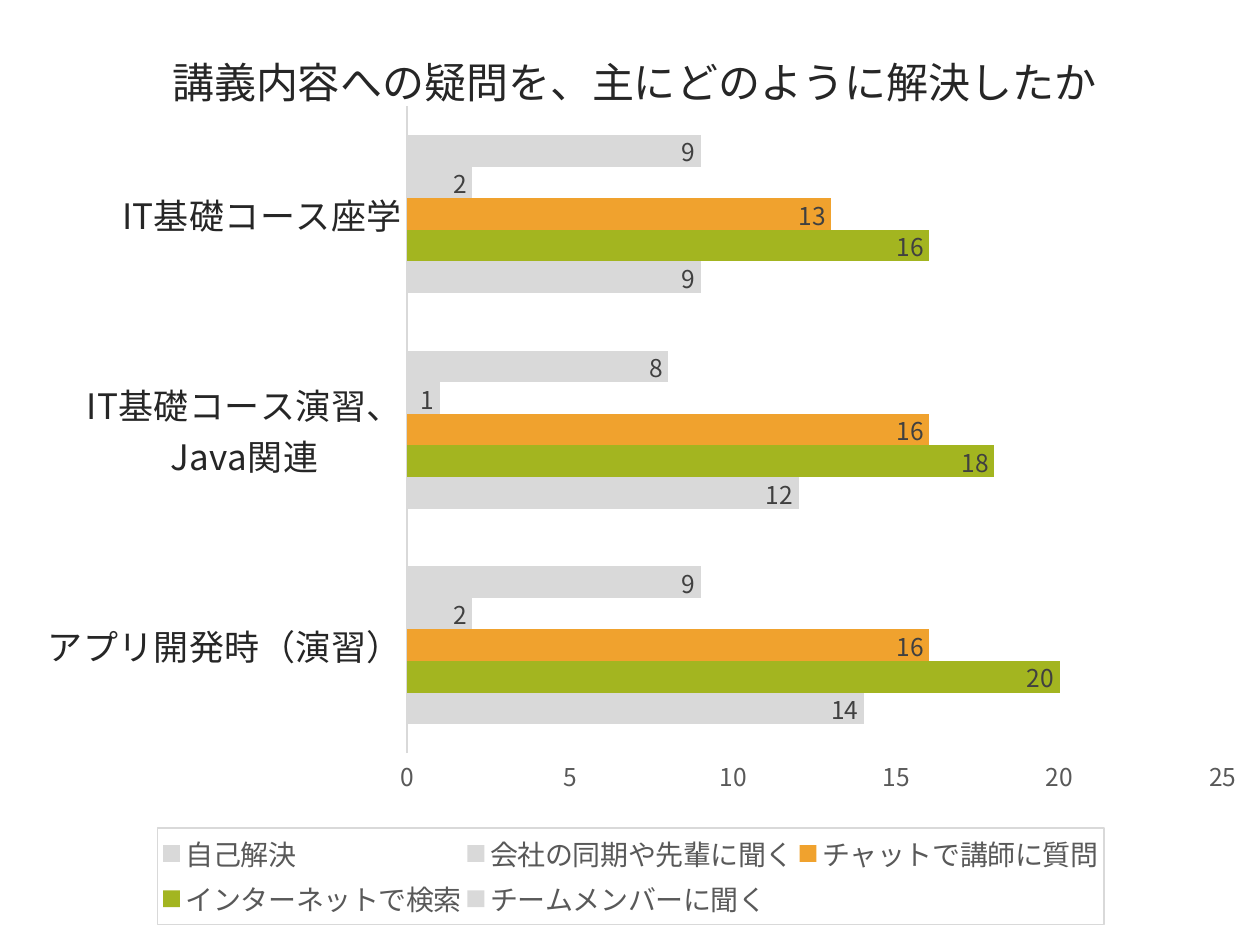
from dataclasses import dataclass

from lxml import etree
from pptx import Presentation
from pptx.chart.data import CategoryChartData
from pptx.dml.color import RGBColor
from pptx.enum.chart import XL_CHART_TYPE, XL_LABEL_POSITION, XL_LEGEND_POSITION, XL_TICK_MARK
from pptx.oxml import parse_xml
from pptx.oxml.ns import nsdecls, qn
from pptx.util import Pt

BAR = XL_CHART_TYPE.BAR_CLUSTERED
INSIDE_END = XL_LABEL_POSITION.INSIDE_END
BOTTOM = XL_LEGEND_POSITION.BOTTOM
NO_TICK = XL_TICK_MARK.NONE


@dataclass(frozen=True)
class Theme:
    font: str = "Noto Sans CJK JP"
    dark: str = "262626"
    label: str = "404040"
    text: str = "595959"
    grey: str = "D9D9D9"
    green: str = "A3B520"
    orange: str = "F0A22E"
    title_size: int = 24
    category_size: int = 20
    legend_size: int = 16
    value_size: int = 14


theme = Theme()


def style_font(font, size, color):
    font.name = theme.font
    font.size = Pt(size)
    font.bold = False
    font.color.rgb = RGBColor.from_string(color)


def place(element, index, **layout):
    for old in element.findall(qn("c:layout")):
        element.remove(old)
    items = "".join(f'<c:{tag} val="{val}"/>' for tag, val in layout.items())
    element.insert(index, parse_xml(
        f'<c:layout {nsdecls("c")}><c:manualLayout>{items}</c:manualLayout></c:layout>'))


prs = Presentation()
prs.slide_width, prs.slide_height = Pt(720), Pt(540)
slide = prs.slides.add_slide(prs.slide_layouts[6])

series = [
    ("チームメンバーに聞く", (14, 12, 9), theme.grey),
    ("インターネットで検索", (20, 18, 16), theme.green),
    ("チャットで講師に質問", (16, 16, 13), theme.orange),
    ("会社の同期や先輩に聞く", (2, 1, 2), theme.grey),
    ("自己解決", (9, 8, 9), theme.grey),
]
data = CategoryChartData()
data.categories = ["アプリ開発時（演習）", "IT基礎コース演習、Java関連", "IT基礎コース座学"]
for name, values, color in series:
    data.add_series(name, values)

chart = slide.shapes.add_chart(BAR, Pt(10), Pt(0), Pt(700), Pt(528.5), data).chart
style_font(chart.font, theme.value_size, theme.text)

p = chart.chart_title.text_frame.paragraphs[0]
r = p.add_run()
r.text = "講義内容への疑問を、主にどのように解決したか"
style_font(r.font, theme.title_size, theme.dark)
chart.chart_title.include_in_layout = False

plot = chart.plots[0]
plot.gap_width = 182
plot.overlap = 0
plot.vary_by_categories = False
for ser, (name, values, color) in zip(plot.series, series):
    ser.format.fill.solid()
    ser.format.fill.fore_color.rgb = RGBColor.from_string(color)
    labels = ser.data_labels
    labels.show_value = True
    labels.position = INSIDE_END
    style_font(labels.font, theme.value_size, theme.label)

cat_axis, val_axis = chart.category_axis, chart.value_axis
for axis, size, color in ((cat_axis, theme.category_size, theme.dark),
                          (val_axis, theme.value_size, theme.text)):
    axis.major_tick_mark = axis.minor_tick_mark = NO_TICK
    axis.has_major_gridlines = False
    style_font(axis.tick_labels.font, size, color)
cat_axis.format.line.color.rgb = RGBColor.from_string(theme.grey)
cat_axis.format.line.width = Pt(0.75)
val_axis.format.line.fill.background()
val_axis.minimum_scale, val_axis.maximum_scale, val_axis.major_unit = 0, 25, 5

chart.has_legend = True
legend = chart.legend
legend.position = BOTTOM
legend.include_in_layout = False
style_font(legend.font, theme.legend_size, theme.text)
legend._element.find(qn("c:txPr")).addprevious(parse_xml(
    f'<c:spPr {nsdecls("c", "a")}><a:ln w="9525"><a:solidFill>'
    f'<a:srgbClr val="{theme.grey}"/></a:solidFill></a:ln></c:spPr>'))

space = chart._chartSpace
place(space.find(".//" + qn("c:plotArea")), 0, layoutTarget="inner", xMode="edge",
      yMode="edge", x=0.318, y=0.115, w=0.666, h=0.7)
place(chart.chart_title._element, 1, xMode="edge", yMode="edge", x=0.12, y=0.04)
place(legend._element, 1, xMode="edge", yMode="edge", x=0.114, y=0.896, w=0.773, h=0.104)

for latin in list(space.iter(qn("a:latin"))):
    ea = etree.Element(qn("a:ea"), typeface=theme.font)
    latin.addnext(ea)

prs.save("out.pptx")
